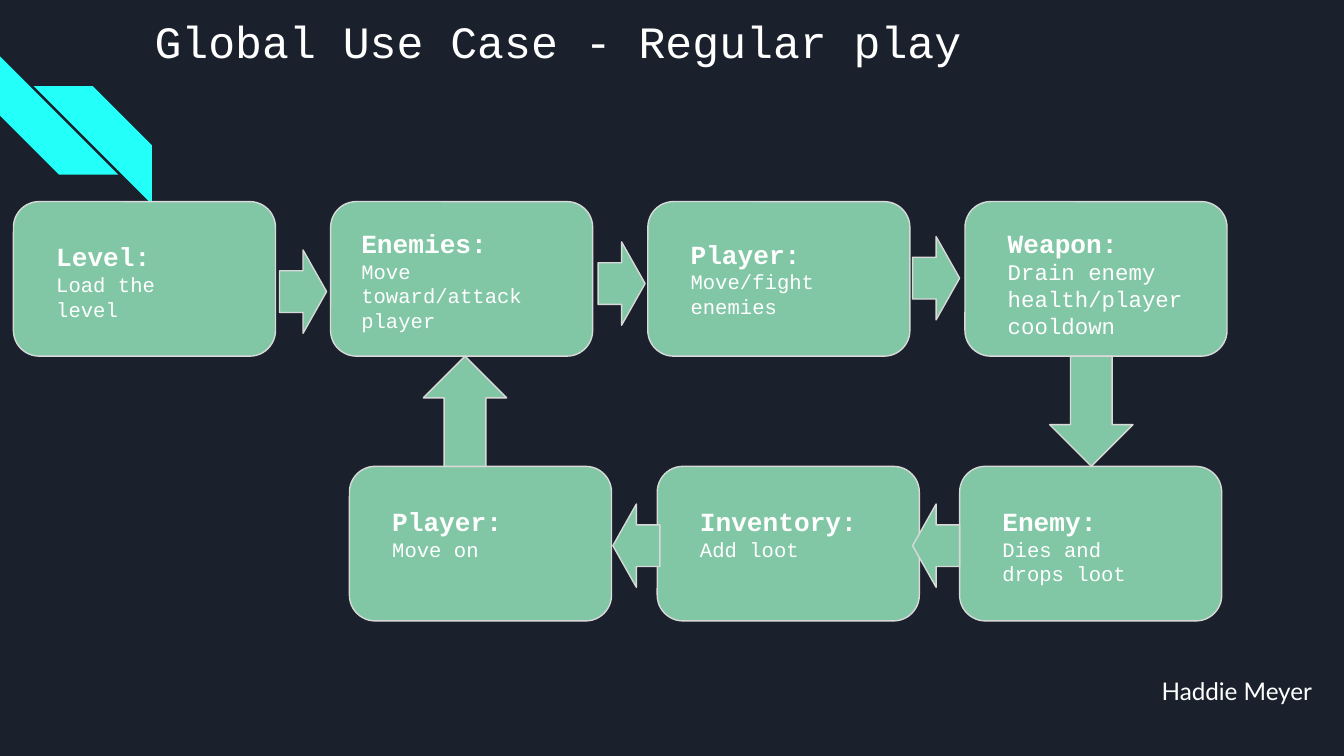
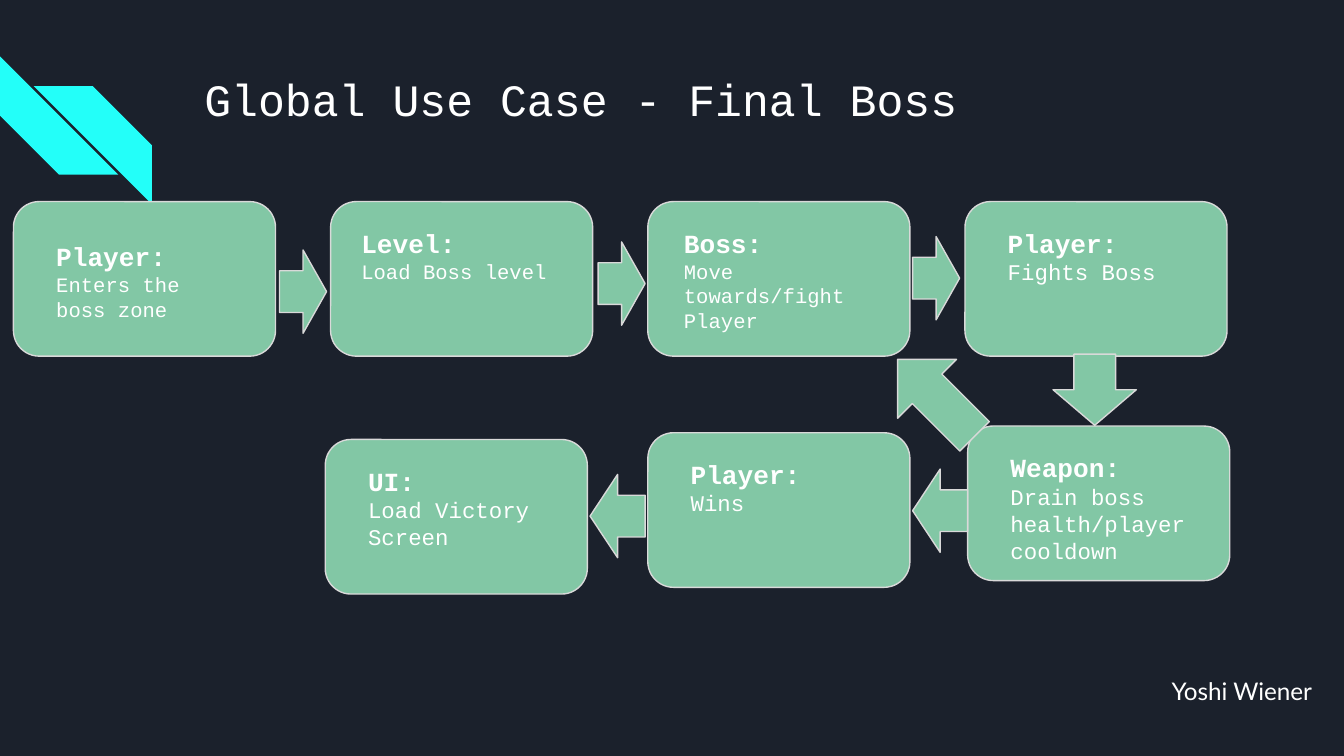
import dataclasses

import pptx
import pptx.dml.color
import pptx.enum.shapes
import pptx.enum.text
import pptx.util

SHAPE = pptx.enum.shapes.MSO_SHAPE
ALIGN = pptx.enum.text.PP_ALIGN


@dataclasses.dataclass(frozen=True)
class Theme:
    background: str = "1B212C"
    stripe: str = "23FFF9"
    card: str = "82C7A5"
    outline: str = "D9D9D9"
    text: str = "FFFFFF"
    mono: str = "Courier New"
    sans: str = "Lato"
    title_size: int = 24
    heading_size: int = 14
    author_size: int = 13
    detail_size: int = 11
    large_detail_size: int = 12
    outline_width: float = 0.75


@dataclasses.dataclass(frozen=True)
class Card:
    """One step; column and top place it, label is its text box inside it."""
    column: int
    heading: str
    detail: str
    label: tuple
    top: float = 1.5
    shift: float = 0
    size: int = Theme.detail_size


THEME = Theme()

# Grid, in inches
SLIDE_SIZE = (10, 5.625)
FIRST_COLUMN, COLUMN_STEP = 0.1, 2.36
CARD_WIDTH, CARD_HEIGHT = 1.95, 1.15
ARROW_THICKNESS = 0.62
STRIPE_SIDE = 0.88
INSET = 0.1
AUTHOR_BOX = (8.38, 4.93, 1.48, 0.54)
TITLE_WIDTH, TITLE_HEIGHT = 7.7, 1

# Text boxes inside a card: left, top, width, height from the card's corner
NARROW = (0.22, 0.19, 1.36, 0.85)
WIDE = (0.13, 0.09, 1.67, 0.96)
TALL = (0.22, 0.09, 1.57, 0.96)

# Arrows: left, top, length, rotation
TOP_ROW_ARROWS = [(2.08, 1.86, 0.35, 0), (4.45, 1.8, 0.35, 0), (6.79, 1.76, 0.35, 0)]

LOWER_ROW = 3.47
LARGE = THEME.large_detail_size
REGULAR_CARDS = [
    Card(0, "Level:", "Load the level", NARROW),
    Card(1, "Enemies:", "Move toward/attack player", WIDE),
    Card(2, "Player:", "Move/fight enemies", (0.22, 0.17, 1.36, 0.85)),
    Card(3, "Weapon:", "Drain enemy health/player cooldown", TALL, size=LARGE),
    Card(3, "Enemy:", "Dies and drops loot", (0.22, 0.19, 1.36, 0.8), LOWER_ROW, -0.04),
    Card(2, "Inventory:", "Add loot", (0.22, 0.19, 1.57, 0.66), LOWER_ROW, 0.07),
    Card(1, "Player:", "Move on", (0.22, 0.19, 1.36, 0.66), LOWER_ROW, 0.14),
]
REGULAR_ARROWS = TOP_ROW_ARROWS + [
    (7.71, 2.75, 0.82, 90), (6.79, 3.75, 0.35, 180),
    (4.56, 3.75, 0.35, 180), (3.05, 2.75, 0.82, 270),
]
BOSS_CARDS = [
    Card(0, "Player:", "Enters the boss zone", NARROW),
    Card(1, "Level:", "Load Boss level", WIDE),
    Card(2, "Boss:", "Move towards/fight Player", (0.17, 0.09, 1.61, 0.85)),
    Card(3, "Player:", "Fights Boss", TALL, size=LARGE),
    Card(3, "Weapon:", "Drain boss health/player cooldown", TALL, 3.17, 0.02, LARGE),
    Card(2, "Player:", "Wins", TALL, 3.22, size=LARGE),
    Card(1, "UI:", "Load Victory Screen", TALL, 3.27, -0.04, LARGE),
]
BOSS_ARROWS = TOP_ROW_ARROWS + [
    (7.88, 2.59, 0.53, 90), (6.56, 2.65, 0.81, 225),
    (6.79, 3.49, 0.41, 180), (4.39, 3.53, 0.41, 180),
]


def inches(*lengths):
    return [pptx.util.Inches(length) for length in lengths]


def color(code):
    return pptx.dml.color.RGBColor.from_string(code)


def write(paragraph, text, size, font=THEME.mono, bold=False, align=ALIGN.LEFT):
    paragraph.alignment = align
    run = paragraph.add_run()
    run.text = text
    run.font.name = font
    run.font.size = pptx.util.Pt(size)
    run.font.bold = bold
    run.font.color.rgb = color(THEME.text)


def prepare_frame(frame):
    frame.word_wrap = True
    frame.auto_size = pptx.enum.text.MSO_AUTO_SIZE.NONE
    frame.vertical_anchor = pptx.enum.text.MSO_ANCHOR.TOP
    frame.margin_left = frame.margin_right = pptx.util.Inches(INSET)
    frame.margin_top = frame.margin_bottom = pptx.util.Inches(INSET)
    return frame


def add_text_box(slide, box):
    return prepare_frame(slide.shapes.add_textbox(*inches(*box)).text_frame)


def add_filled_shape(shapes, kind, box, fill, outline=None, rotation=0):
    shape = shapes.add_shape(kind, *inches(*box))
    shape.shadow.inherit = False
    shape.rotation = rotation
    shape.fill.solid()
    shape.fill.fore_color.rgb = color(fill)
    if outline:
        shape.line.color.rgb = color(outline)
        shape.line.width = pptx.util.Pt(THEME.outline_width)
    else:
        shape.line.fill.background()
    return shape


def add_card(slide, card):
    left = FIRST_COLUMN + card.column * COLUMN_STEP + card.shift
    add_filled_shape(slide.shapes, SHAPE.ROUNDED_RECTANGLE,
                     (left, card.top, CARD_WIDTH, CARD_HEIGHT),
                     THEME.card, THEME.outline)
    label_left, label_top, width, height = card.label
    frame = add_text_box(slide, (left + label_left, card.top + label_top, width, height))
    write(frame.paragraphs[0], card.heading, THEME.heading_size, bold=True)
    write(frame.add_paragraph(), card.detail, card.size)


def add_arrow(slide, left, top, length, rotation):
    add_filled_shape(slide.shapes, SHAPE.RIGHT_ARROW,
                     (left, top, length, ARROW_THICKNESS),
                     THEME.card, THEME.outline, rotation)


def set_title(slide, text, left, top):
    title = slide.shapes.title
    title.left, title.top, title.width, title.height = inches(
        left, top, TITLE_WIDTH, TITLE_HEIGHT)
    write(prepare_frame(title.text_frame).paragraphs[0], text, THEME.title_size)


def decorate_layout(layout, slide):
    """Give the layout its background and corner stripes, shared by all slides."""
    layout.background.fill.solid()
    layout.background.fill.fore_color.rgb = color(THEME.background)
    shape_tree = layout.element.cSld.spTree
    for placeholder in list(layout.placeholders)[1:]:
        shape_tree.remove(placeholder.element)
    # Layouts cannot add shapes, so the group is built on a slide and moved
    group = slide.shapes.add_group_shape()
    add_filled_shape(group.shapes, SHAPE.DIAGONAL_STRIPE,
                     (0, 0.42, STRIPE_SIDE, STRIPE_SIDE), THEME.stripe, rotation=270)
    mirrored = add_filled_shape(group.shapes, SHAPE.DIAGONAL_STRIPE,
                                (0.25, 0.64, STRIPE_SIDE, STRIPE_SIDE), THEME.stripe)
    mirrored.element.spPr.get_or_add_xfrm().set("flipH", "1")
    shape_tree.insert(2, group.element)


def fill_slide(slide, title, title_corner, cards, arrows, author):
    set_title(slide, title, *title_corner)
    for card in cards:
        add_card(slide, card)
    for arrow in arrows:
        add_arrow(slide, *arrow)
    write(add_text_box(slide, AUTHOR_BOX).paragraphs[0], author,
          THEME.author_size, font=THEME.sans, align=ALIGN.RIGHT)


def main():
    presentation = pptx.Presentation()
    presentation.slide_width, presentation.slide_height = inches(*SLIDE_SIZE)
    layout = presentation.slide_layouts.get_by_name("Title Only")
    regular = presentation.slides.add_slide(layout)
    boss = presentation.slides.add_slide(layout)
    decorate_layout(layout, regular)

    fill_slide(regular, "Global Use Case - Regular play", (1.05, 0),
               REGULAR_CARDS, REGULAR_ARROWS, "Haddie Meyer")
    fill_slide(boss, "Global Use Case - Final Boss", (1.42, 0.43),
               BOSS_CARDS, BOSS_ARROWS, "Yoshi Wiener")
    presentation.save("out.pptx")


if __name__ == "__main__":
    main()
